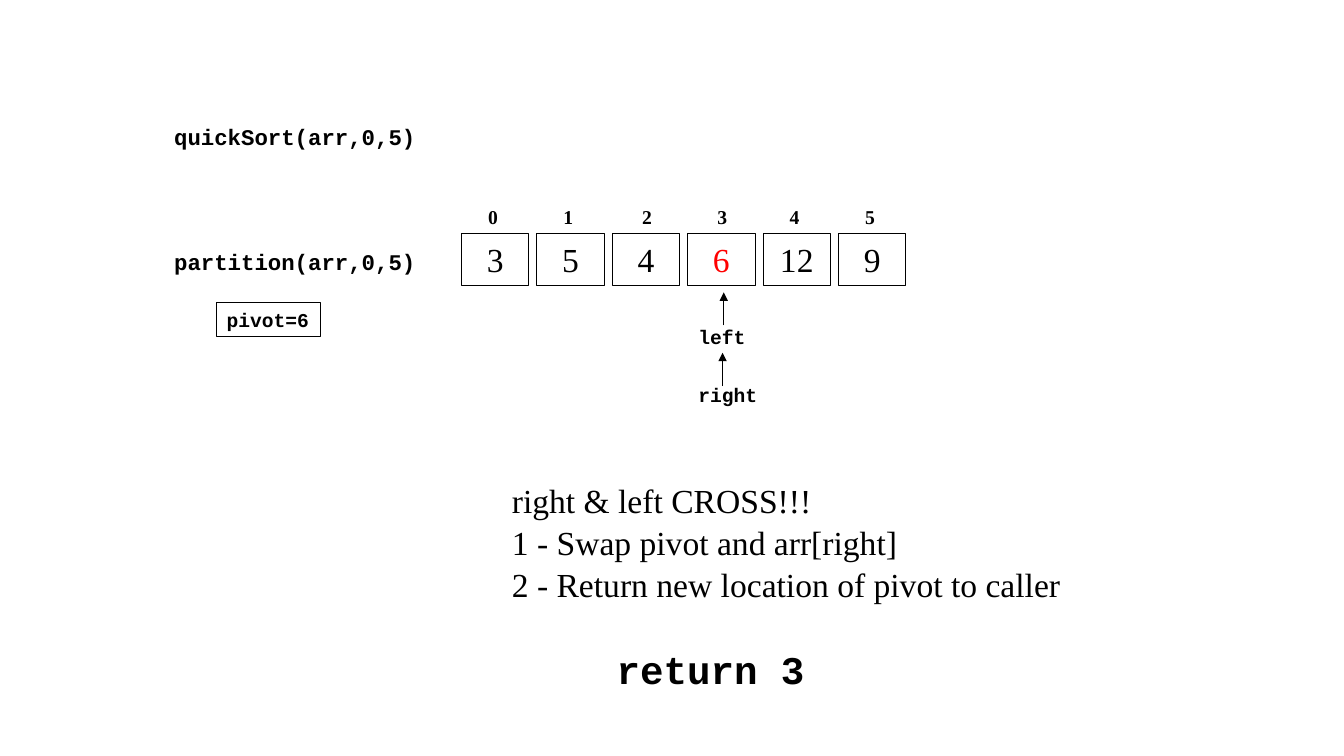
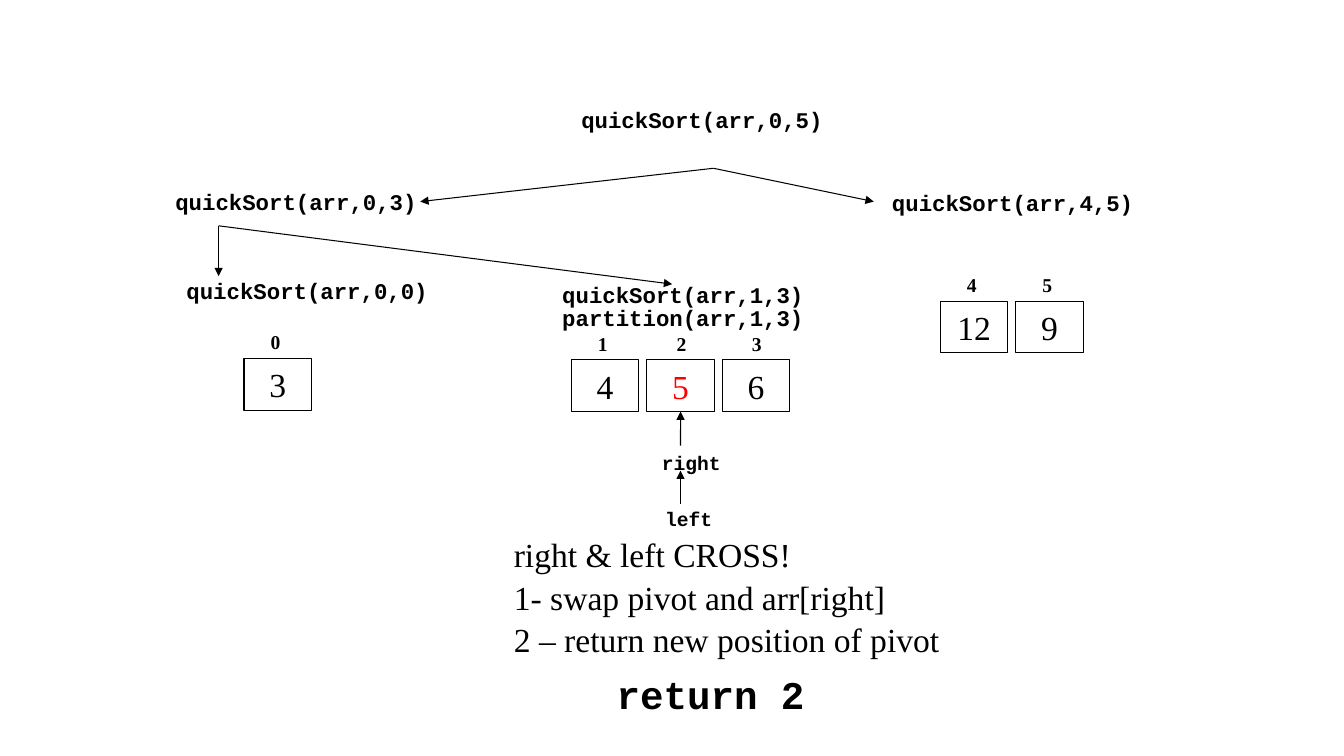
from dataclasses import dataclass

from lxml import etree
from pptx import Presentation
from pptx.dml.color import RGBColor
from pptx.enum import shapes, text
from pptx.oxml.ns import qn
from pptx.util import Cm, Pt


@dataclass(frozen=True)
class Theme:
    ink: RGBColor = RGBColor(0, 0, 0)
    pivot: RGBColor = RGBColor(255, 0, 0)
    code: str = "Courier New"
    prose: str = "Times New Roman"
    small: int = 14
    call: int = 16
    body: int = 24
    result: int = 28
    line: float = 0.75


THEME = Theme()
CM_PER_POINT = 2.54 / 72
CODE_ASPECT = 0.6
INSET_X, INSET_Y = 0.51, 0.25
CELL_W, CELL_H, CELL_GAP = 1.7, 1.3, 0.2
INDEX_W, INDEX_RISE = 0.76, 0.84


def write(frame, lines, font, size, bold=False, color=THEME.ink,
          align=text.PP_ALIGN.LEFT, gap=0):
    frame.text = "\n".join(lines)
    for paragraph in frame.paragraphs:
        paragraph.alignment = align
        paragraph.space_after = Pt(gap)
        paragraph.font.name = font
        paragraph.font.size = Pt(size)
        paragraph.font.bold = bold
        paragraph.font.color.rgb = color


def add_label(slide, lines, left, top, width, font, size, bold=True, gap=0):
    height = len(lines) * (size * 1.2 * CM_PER_POINT) + INSET_Y
    label = slide.shapes.add_textbox(Cm(left), Cm(top), Cm(width), Cm(height))
    label.text_frame.word_wrap = False
    write(label.text_frame, lines, font, size, bold, gap=gap)


def add_code(slide, code, left, top, size=THEME.call):
    width = len(code) * size * CODE_ASPECT * CM_PER_POINT + INSET_X
    add_label(slide, [code], left, top, width, THEME.code, size)


def add_frame(slide, left, top, width, height):
    frame = slide.shapes.add_shape(shapes.MSO_SHAPE.RECTANGLE,
                                   Cm(left), Cm(top), Cm(width), Cm(height))
    frame.shadow.inherit = False
    frame.fill.background()
    frame.line.color.rgb = THEME.ink
    frame.line.width = Pt(THEME.line)
    frame.text_frame.vertical_anchor = text.MSO_ANCHOR.MIDDLE
    return frame


def add_arrow(slide, start, end):
    arrow = slide.shapes.add_connector(shapes.MSO_CONNECTOR.STRAIGHT,
                                       *map(Cm, start + end))
    arrow.line.color.rgb = THEME.ink
    arrow.line.width = Pt(THEME.line)
    etree.SubElement(arrow.line._get_or_add_ln(), qn("a:tailEnd"), type="triangle")
    etree.SubElement(arrow._element.spPr, qn("a:effectLst"))
    return arrow


def add_array(slide, left, top, values, first=0, pivot=None):
    cells = {}
    for index, value in enumerate(values, first):
        x = left + (index - first) * (CELL_W + CELL_GAP)
        cell = add_frame(slide, x, top, CELL_W, CELL_H)
        color = THEME.pivot if index == pivot else THEME.ink
        write(cell.text_frame, [str(value)], THEME.prose, THEME.body,
              color=color, align=text.PP_ALIGN.CENTER)
        nudge = 0.5 if index in (2, 3) else 0.42
        add_label(slide, [str(index)], x + nudge, top - INDEX_RISE, INDEX_W,
                  THEME.prose, THEME.small)
        cells[index] = cell
    return cells


def add_pointer(slide, name, left, top, tail, tip):
    add_code(slide, name, left, top, THEME.small)
    return add_arrow(slide, tail, (tail[0], tip))


def add_pivot(slide, code, left, top):
    pivot = add_frame(slide, left, top, 2.62, 0.86)
    pivot.text_frame.word_wrap = False
    write(pivot.text_frame, [code], THEME.code, THEME.small, bold=True)


def add_outcome(slide, left, top, width, steps, result, result_top):
    add_label(slide, steps, left, top, width, THEME.prose, THEME.body,
              bold=False, gap=1.3)
    add_code(slide, result, 15.29, result_top, THEME.result)


def build_first_partition(slide):
    add_code(slide, "quickSort(arr,0,5)", 4.14, 2.97)
    add_code(slide, "partition(arr,0,5)", 4.14, 6.12)
    add_array(slide, 11.63, 5.89, [3, 5, 4, 6, 12, 9], pivot=3)
    add_pointer(slide, "left", 17.35, 8.05, (18.24, 8.2), 7.37)
    add_pointer(slide, "right", 17.35, 9.53, (18.21, 9.73), 8.89)
    add_pivot(slide, "pivot=6", 5.46, 7.62)
    add_outcome(slide, 12.65, 11.96, 14.45,
                ["right & left CROSS!!!",
                 "1 - Swap pivot and arr[right]",
                 "2 - Return new location of pivot to caller"],
                "return 3", 16.13)


def build_call_tree(slide):
    calls = [
        ("quickSort(arr,0,5)", 14.4, 2.54),
        ("quickSort(arr,0,3)", 4.17, 4.62),
        ("quickSort(arr,4,5)", 22.23, 4.65),
        ("quickSort(arr,0,0)", 4.45, 6.86),
        ("quickSort(arr,1,3)", 13.92, 6.96),
        ("partition(arr,1,3)", 13.92, 7.54),
    ]
    for call in calls:
        add_code(slide, *call)
    branches = {
        (17.98, 4.24): [(10.59, 5.08), (22.02, 5.08)],
        (5.51, 5.69): [(5.51, 6.96), (16.94, 7.16)],
    }
    for parent, children in branches.items():
        for child in children:
            add_arrow(slide, parent, child)

    add_array(slide, 6.15, 9.04, [3])
    middle = add_array(slide, 14.4, 9.07, [4, 5, 6], first=1, pivot=2)
    add_array(slide, 23.7, 7.59, [12, 9], first=4)
    right = add_pointer(slide, "right", 16.43, 11.23, (17.15, 11.23), 10.37)
    right.end_connect(middle[2], 2)
    add_pointer(slide, "left", 16.51, 12.65, (17.15, 12.7), 11.86)
    add_outcome(slide, 12.7, 13.34, 11.33,
                ["right & left CROSS!",
                 "1- swap pivot and arr[right]",
                 "2 – return new position of pivot"],
                "return 2", 16.76)


def main():
    deck = Presentation()
    deck.slide_width, deck.slide_height = Cm(33.87), Cm(19.05)
    blank = deck.slide_layouts.get_by_name("Blank")
    for build in (build_first_partition, build_call_tree):
        build(deck.slides.add_slide(blank))
    deck.save("out.pptx")


if __name__ == "__main__":
    main()
